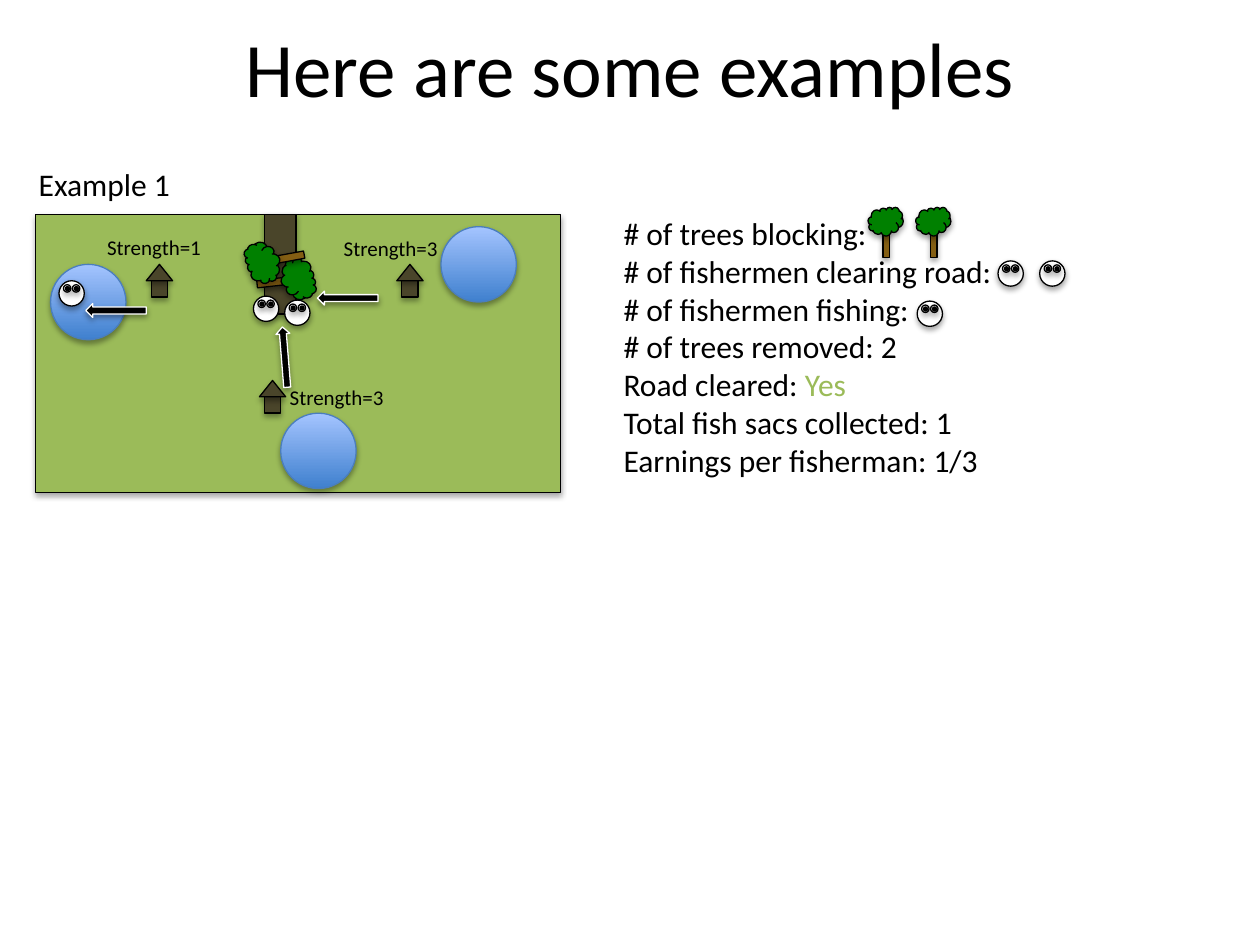
from lxml.etree import fromstring
from pptx import Presentation
from pptx.dml.color import RGBColor
from pptx.enum.shapes import MSO_SHAPE as Kind
from pptx.enum.text import MSO_ANCHOR, MSO_AUTO_SIZE, PP_ALIGN
from pptx.oxml.ns import qn
from pptx.util import Cm, Pt

BLACK, WHITE, GRASS = "000000", "FFFFFF", "9BBB59"
WOOD, BARK, LEAF = "4A452A", "835E13", "008000"
SHADOW = (
    '<a:outerShdw xmlns:a="http://schemas.openxmlformats.org/drawingml/2006/main"'
    ' blurRad="40000" dist="23000" dir="5400000" rotWithShape="0">'
    '<a:srgbClr val="000000"><a:alpha val="35000"/></a:srgbClr></a:outerShdw>'
)

deck = Presentation()
deck.slide_width, deck.slide_height = Cm(25.4), Cm(19.05)
slide = deck.slides.add_slide(deck.slide_layouts[6])


def draw(kind, x, y, w, h, fill=None, line=BLACK, turn=0):
    """Add a shape with a soft shadow; two fill colours make a gradient."""
    shape = slide.shapes.add_shape(kind, Cm(x), Cm(y), Cm(w), Cm(h))
    shape.rotation = turn
    if fill is None:
        shape.fill.background()
    elif isinstance(fill, tuple):
        shape.fill.gradient()
        shape.fill.gradient_angle = 90
        for stop, tone in zip(shape.fill.gradient_stops, fill):
            stop.color.rgb = RGBColor.from_string(tone)
    else:
        shape.fill.solid()
        shape.fill.fore_color.rgb = RGBColor.from_string(fill)
    shape.line.color.rgb = RGBColor.from_string(line)
    shape.line.width = Pt(0.75)
    shape.shadow.inherit = False
    shape._element.spPr.find(qn("a:effectLst")).append(fromstring(SHADOW))


def write(text, x, y, w, h, size):
    box = slide.shapes.add_textbox(Cm(x), Cm(y), Cm(w), Cm(h))
    frame = box.text_frame
    frame.text = text
    frame.word_wrap = False
    frame.auto_size = MSO_AUTO_SIZE.SHAPE_TO_FIT_TEXT
    for para in frame.paragraphs:
        para.font.size = Pt(size)
        para.font.name = "Calibri"
        para.font.color.rgb = RGBColor.from_string(BLACK)
    return frame


title = write("Here are some examples", 1.27, -0.25, 22.86, 3.18, 44)
title.auto_size = MSO_AUTO_SIZE.NONE
title.word_wrap = True
title.vertical_anchor = MSO_ANCHOR.MIDDLE
title.paragraphs[0].alignment = PP_ALIGN.CENTER

# Map: field, houses, ponds and road
draw(Kind.RECTANGLE, 0.71, 4.32, 10.59, 5.61, GRASS)
for x, y in [(2.95, 5.33), (5.23, 7.67), (8, 5.33)]:
    draw(Kind.RECTANGLE, x + 0.1, y + 0.33, 0.33, 0.33, WOOD)
    draw(Kind.ISOSCELES_TRIANGLE, x, y, 0.53, 0.33, WOOD)
for x, y in [(1.02, 5.33), (5.66, 8.33), (8.89, 4.57)]:
    draw(Kind.OVAL, x, y, 1.52, 1.52, ("3F80CE", "A4C4FF"), "4B7EBC")
draw(Kind.RECTANGLE, 5.33, 4.32, 0.64, 2.01, WOOD)

# Fallen trees on the road
for trunk, crown, turn in [
    ((5.51, 5.28), (5.59, 5.28), 83.7),
    ((5.66, 4.8), (4.88, 4.95), 259.7),
]:
    draw(Kind.RECTANGLE, *trunk, 0.15, 0.81, BARK, turn=turn)
    draw(Kind.CLOUD, *crown, 0.84, 0.69, LEAF, turn=turn)

for force, x, y in [(1, 1.91, 4.6), (3, 6.68, 4.62), (3, 5.59, 7.62)]:
    write(f"Strength={force}", x, y, 2.44, 0.76, 12)

# Results
facts = [
    "# of trees blocking:",
    "# of fishermen clearing road:",
    "# of fishermen fishing:",
    "# of trees removed: 2",
    "Road cleared: ",
    "Total fish sacs collected: 1",
    "Earnings per fisherman: 1/3",
]
notes = write("\n".join(facts), 12.32, 4.19, 8.03, 5.64, 18)
yes = notes.paragraphs[4].add_run()
yes.text = "Yes"
yes.font.color.rgb = RGBColor.from_string(GRASS)

for x in (17.5, 18.46):
    draw(Kind.RECTANGLE, x + 0.3, 4.5, 0.13, 0.69, BARK)
    draw(Kind.CLOUD, x, 4.18, 0.71, 0.58, LEAF)

for x, y, turn in [(1.73, 6.12, 0), (5.13, 7.06, 85.4), (6.4, 5.87, 0)]:
    draw(Kind.LEFT_ARROW, x, y, 1.22, 0.28, BLACK, WHITE, turn)

# Fishermen: on the road, in the results, at the pond
for x, y in [(5.74, 6.05), (5.11, 5.97), (20.12, 5.26),
             (20.96, 5.26), (18.49, 6.07), (1.19, 5.66)]:
    draw(Kind.OVAL, x, y, 0.51, 0.51, WHITE)
    for eye in (x + 0.09, x + 0.27):
        draw(Kind.OVAL, eye, y + 0.08, 0.15, 0.15)
        draw(Kind.OVAL, eye + 0.04, y + 0.12, 0.08, 0.08, BLACK)

write("Example 1", 0.53, 3.2, 3.2, 1.02, 18)

deck.save("out.pptx")
